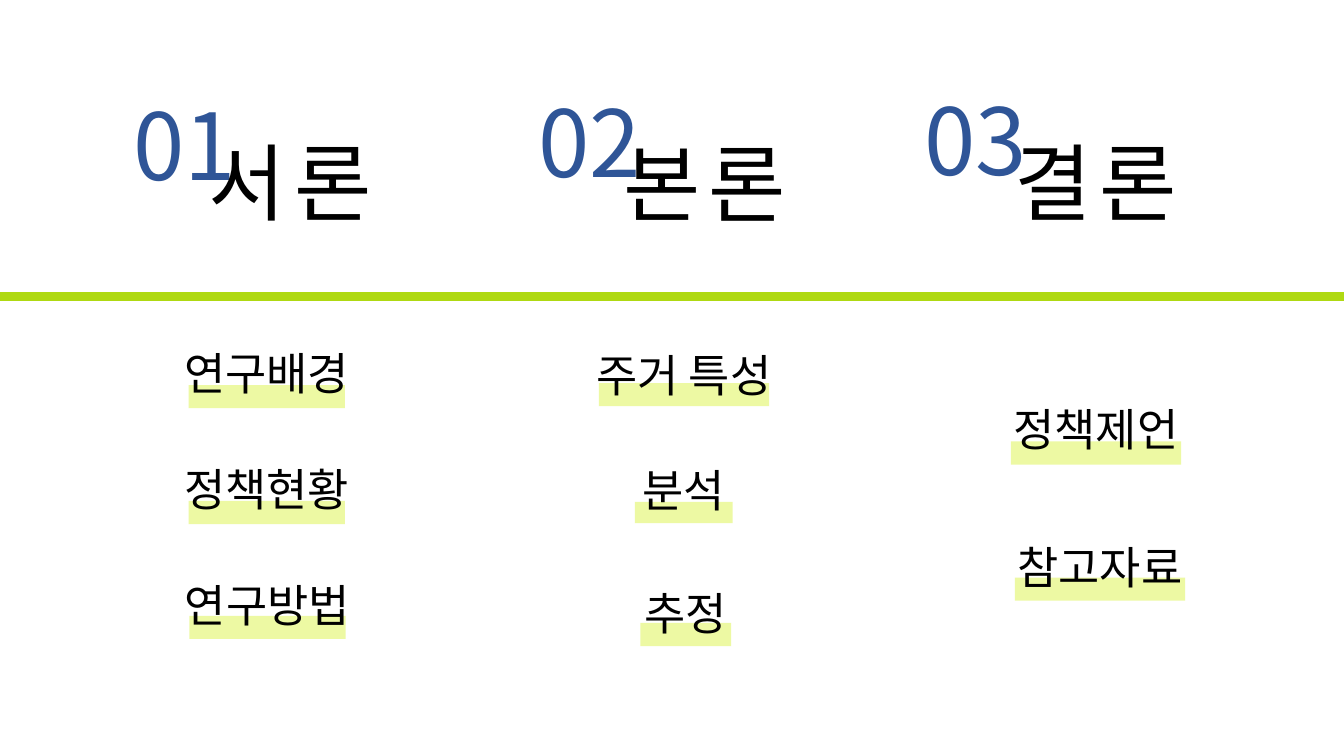
from lxml.etree import SubElement
from pptx import Presentation
from pptx.dml.color import RGBColor
from pptx.enum.shapes import MSO_CONNECTOR as Connector, MSO_SHAPE as Shape
from pptx.enum.text import PP_ALIGN as Align
from pptx.oxml.ns import qn
from pptx.util import Inches, Pt

COLORS = {"text": "000000", "number": "2F5597", "rule": "AFD912", "marker": "E7F884"}
FONT = "Noto Sans CJK KR"
COLUMNS, ROWS = 40, 30

# number, (column, row), title, (column, row),
# topics: text, centre column, text row, text width, marker row, marker width, marker height
CHAPTERS = [
    ("01", (3.3, 3.8), "서론", (5.49, 5.44), [
        ("연구배경", 7.94, 13.76, 5.61, 15.28, 4.65, 0.92),
        ("정책현황", 7.94, 18.36, 5.61, 19.88, 4.65, 0.92),
        ("연구방법", 7.96, 22.96, 5.61, 24.44, 4.65, 0.92),
    ]),
    ("02", (15.36, 3.68), "본론", (17.82, 5.48), [
        ("주거 특성", 20.36, 13.84, 7, 15.2, 5.07, 0.92),
        ("분석", 20.35, 18.4, 7, 19.92, 2.91, 0.84),
        ("추정", 20.41, 23.28, 3.78, 24.72, 2.7, 0.92),
    ]),
    ("03", (26.85, 3.6), "결론", (29.46, 5.44), [
        ("정책제언", 32.62, 16, 6.54, 17.52, 5.07, 0.92),
        ("참고자료", 32.74, 21.48, 6.54, 22.92, 5.07, 0.92),
    ]),
]


class Contents:
    def __init__(self, deck):
        self.page = deck.slides.add_slide(deck.slide_layouts[6])
        self.column = deck.slide_width / COLUMNS
        self.row = deck.slide_height / ROWS

    def place(self, left, top, width, height):
        """Turn grid columns and rows into slide lengths."""
        return (round(left * self.column), round(top * self.row),
                round(width * self.column), round(height * self.row))

    def rule(self, row, weight):
        left, top, width, _ = self.place(0, row, COLUMNS, 0)
        line = self.page.shapes.add_connector(Connector.STRAIGHT, left, top, left + width, top)
        line.line.color.rgb = RGBColor.from_string(COLORS["rule"])
        line.line.width = Pt(weight)
        SubElement(line._element.spPr, qn("a:effectLst"))

    def marker(self, *area, opacity=74):
        bar = self.page.shapes.add_shape(Shape.RECTANGLE, *self.place(*area))
        bar.shadow.inherit = False
        bar.line.fill.background()
        bar.fill.solid()
        bar.fill.fore_color.rgb = RGBColor.from_string(COLORS["marker"])
        color = bar._element.spPr.find(qn("a:solidFill"))[0]
        SubElement(color, qn("a:alpha"), val=str(opacity * 1000))

    def label(self, text, area, size, color="text", tracking=0):
        box = self.page.shapes.add_textbox(*self.place(*area))
        box.text_frame.word_wrap = True
        para = box.text_frame.paragraphs[0]
        para.alignment = Align.CENTER
        para.line_spacing = 0.9
        span = para.add_run()
        span.text = text
        props = span._r.get_or_add_rPr()
        if tracking:
            props.set("spc", str(tracking * 100))
        para.font.size = Pt(size)
        para.font.name = FONT
        para.font.color.rgb = RGBColor.from_string(COLORS[color])
        SubElement(props, qn("a:ea"), typeface=FONT)

    def topic(self, text, centre, row, width, marker_row, marker_width, marker_height):
        self.marker(centre - marker_width / 2, marker_row, marker_width, marker_height)
        self.label(text, (centre - width / 2, row, width, 2.4), 32)


def main():
    deck = Presentation()
    deck.slide_width, deck.slide_height = Inches(13.33), Inches(7.5)
    contents = Contents(deck)
    contents.rule(11.76, 6)
    for number, number_at, title, title_at, topics in CHAPTERS:
        contents.label(number, (*number_at, 4.38, 4), 66, "number")
        contents.label(title, (*title_at, 6.3, 3.72), 60, tracking=6)
        for topic in topics:
            contents.topic(*topic)
    deck.save("out.pptx")


if __name__ == "__main__":
    main()
